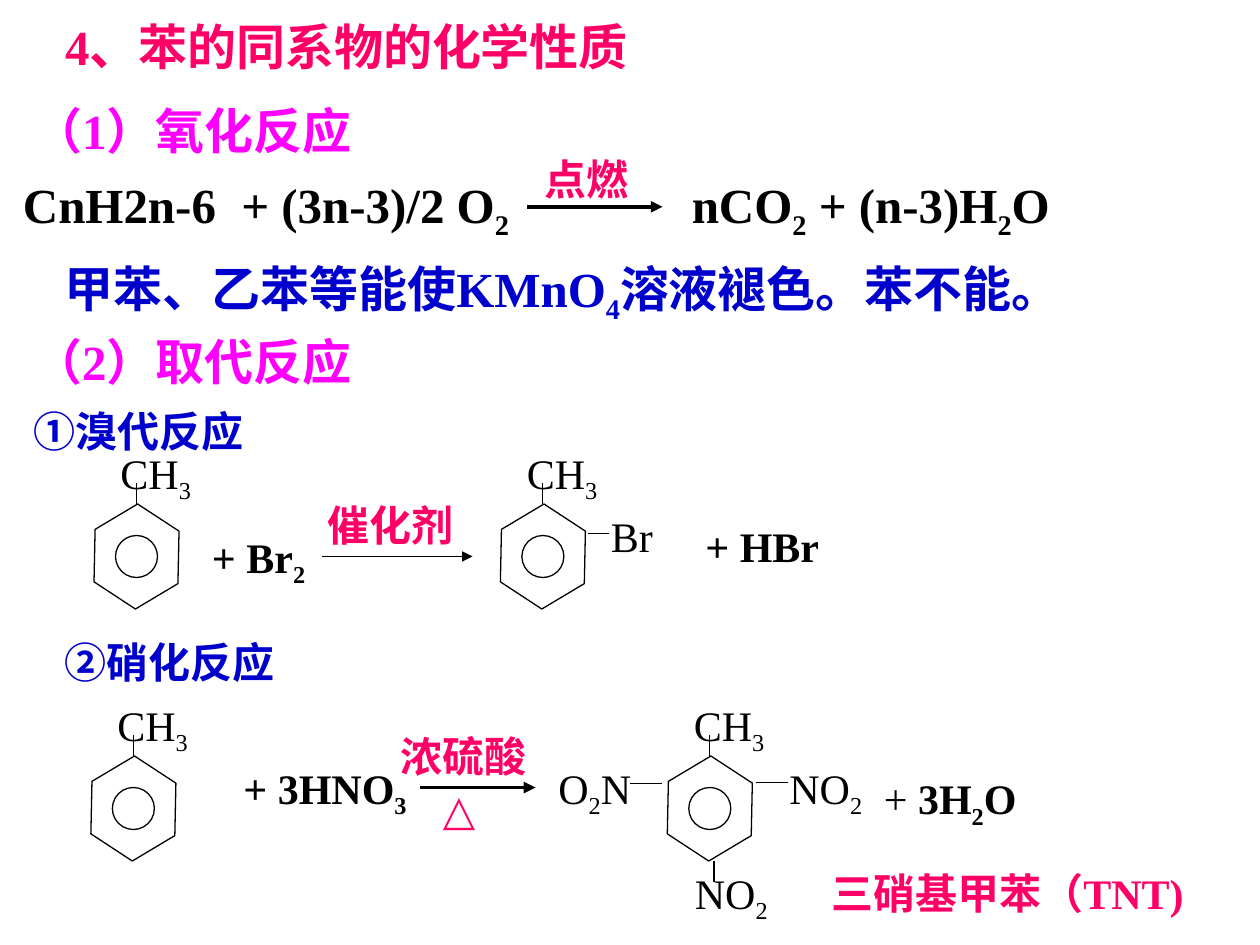
from lxml.etree import SubElement
from pptx import Presentation
from pptx.dml.color import RGBColor
from pptx.enum.shapes import MSO_CONNECTOR, MSO_SHAPE
from pptx.enum.text import MSO_ANCHOR, MSO_AUTO_SIZE, PP_ALIGN
from pptx.oxml.ns import qn
from pptx.util import Pt

PX = 7620  # 120 px to the inch
FONT = "Times New Roman"
BLACK, WHITE, RED, PINK, BLUE = "000000", "FFFFFF", "FF0066", "FF00FF", "0000CC"
rgb = RGBColor.from_string

prs = Presentation()
prs.slide_width, prs.slide_height = 1200 * PX, 900 * PX
s = prs.slides.add_slide(prs.slide_layouts[5])


def add_text(text, x, y, w, h, color=BLACK, size=24, bold=False, tabs=()):
    """Add a text box; "_" lowers the next character, "|" starts bold."""
    sp = s.shapes.add_textbox(x * PX, y * PX, w * PX, h * PX)
    tf = sp.text_frame
    tf.word_wrap = True
    p = tf.paragraphs[0]
    if tabs:
        tab_list = SubElement(p._p.get_or_add_pPr(), qn("a:tabLst"))
        for pos in tabs:
            SubElement(tab_list, qn("a:tab"), pos=str(pos * PX), algn="l")
    for i, piece in enumerate(text.split("|")):
        first, *rest = piece.split("_")
        parts = [(first, False)]
        for part in rest:
            parts += [(part[0], True), (part[1:], False)]
        for content, lowered in parts:
            if not content:
                continue
            r = p.add_run()
            r.text = content
            r.font.name = FONT
            r.font.size = Pt(size)
            r.font.bold = bold or i > 0
            r.font.color.rgb = rgb(color)
            if lowered:
                r.font._element.set("baseline", "-25000")


def add_line(x1, y1, x2, y2, width=0.75, arrow=False):
    line = s.shapes.add_connector(
        MSO_CONNECTOR.STRAIGHT, x1 * PX, y1 * PX, x2 * PX, y2 * PX)
    line.line.color.rgb = rgb(BLACK)
    line.line.width = Pt(width)
    if arrow:
        SubElement(line.line._get_or_add_ln(), qn("a:tailEnd"), type="triangle")
    SubElement(line._element.spPr, qn("a:effectLst"))


# Title
title = s.shapes.title
title.left, title.top, title.width, title.height = 50 * PX, 10 * PX, 1080 * PX, 68 * PX
title.fill.solid()
title.fill.fore_color.rgb = rgb(WHITE)
tf = title.text_frame
tf.text = "4、苯的同系物的化学性质"
tf.auto_size = MSO_AUTO_SIZE.NONE
tf.vertical_anchor = MSO_ANCHOR.TOP
p = tf.paragraphs[0]
p.alignment = PP_ALIGN.LEFT
font = p.runs[0].font
font.name, font.size, font.bold = FONT, Pt(28), True
font.color.rgb = rgb(RED)

# Headings and statements
add_text("（1）氧化反应", 20, 90, 370, 68, PINK, 28, True)
add_text("CnH2n-6\t+ (3n-3)/2 O_2\tnCO_2 + (n-3)H_2O", 10, 160, 1040, 75,
         size=28, bold=True, tabs=(208, 637))
add_text("甲苯、乙苯等能使KMnO_4溶液褪色。苯不能。", 50, 240, 1050, 75, BLUE, 28, True)
add_text("（2）取代反应", 20, 310, 470, 68, PINK, 28, True)
add_text("①溴代反应", 20, 380, 300, 60, BLUE, bold=True)
add_text("②硝化反应", 50, 600, 300, 60, BLUE, bold=True)

# Toluene rings, each with its methyl group
for x, y in ((80, 490), (467, 490), (77, 730), (626, 730)):
    for kind, dx, dy, w, h in ((MSO_SHAPE.HEXAGON, 0, 0, 100, 80),
                               (MSO_SHAPE.OVAL, 30, 20, 40, 40)):
        sp = s.shapes.add_shape(kind, (x + dx) * PX, (y + dy) * PX, w * PX, h * PX)
        sp.shadow.inherit = False
        sp.fill.solid()
        sp.fill.fore_color.rgb = rgb(WHITE)
        sp.line.color.rgb = rgb(BLACK)
        sp.line.width = Pt(0.75)
        if kind == MSO_SHAPE.HEXAGON:
            sp.adjustments[0] = 0.313
            sp.rotation = 91.2
    add_text("CH_3", x + 23, y - 70, 120, 67)
    add_line(x + 50, y - 30, x + 50, y - 10)

# Reagents, products and ring substituents
for text, x, y, w, bold in (
    ("+ Br_2", 190, 500, 150, True),
    ("Br", 570, 480, 90, False),
    ("+ HBr", 660, 490, 220, True),
    ("+ 3HNO_3", 220, 720, 190, True),
    ("O_2N", 520, 720, 110, False),
    ("NO_2", 740, 720, 100, False),
    ("NO_2", 650, 820, 100, False),
    ("+ |3H_2O", 830, 730, 230, False),
):
    add_text(text, x, y, w, 67, bold=bold)

# Reaction conditions and product name
for text, x, y, w in (
    ("点燃", 507, 140, 120),
    ("催化剂", 300, 470, 150),
    ("浓硫酸", 370, 690, 160),
    ("△", 410, 740, 90),
    ("三硝基甲苯（TNT)", 780, 820, 380),
):
    add_text(text, x, y, w, 60, RED, bold=True)

# Reaction arrows
for x1, x2, y, width in ((502, 631, 197, 2.25), (307, 450, 530, 0.75), (400, 510, 750, 2.25)):
    add_line(x1, y, x2, y, width, arrow=True)

# Bonds to the substituents
for bond in ((560, 508, 580, 508), (600, 746, 630, 746),
             (720, 745, 750, 745), (680, 820, 680, 840)):
    add_line(*bond)

prs.save("out.pptx")
